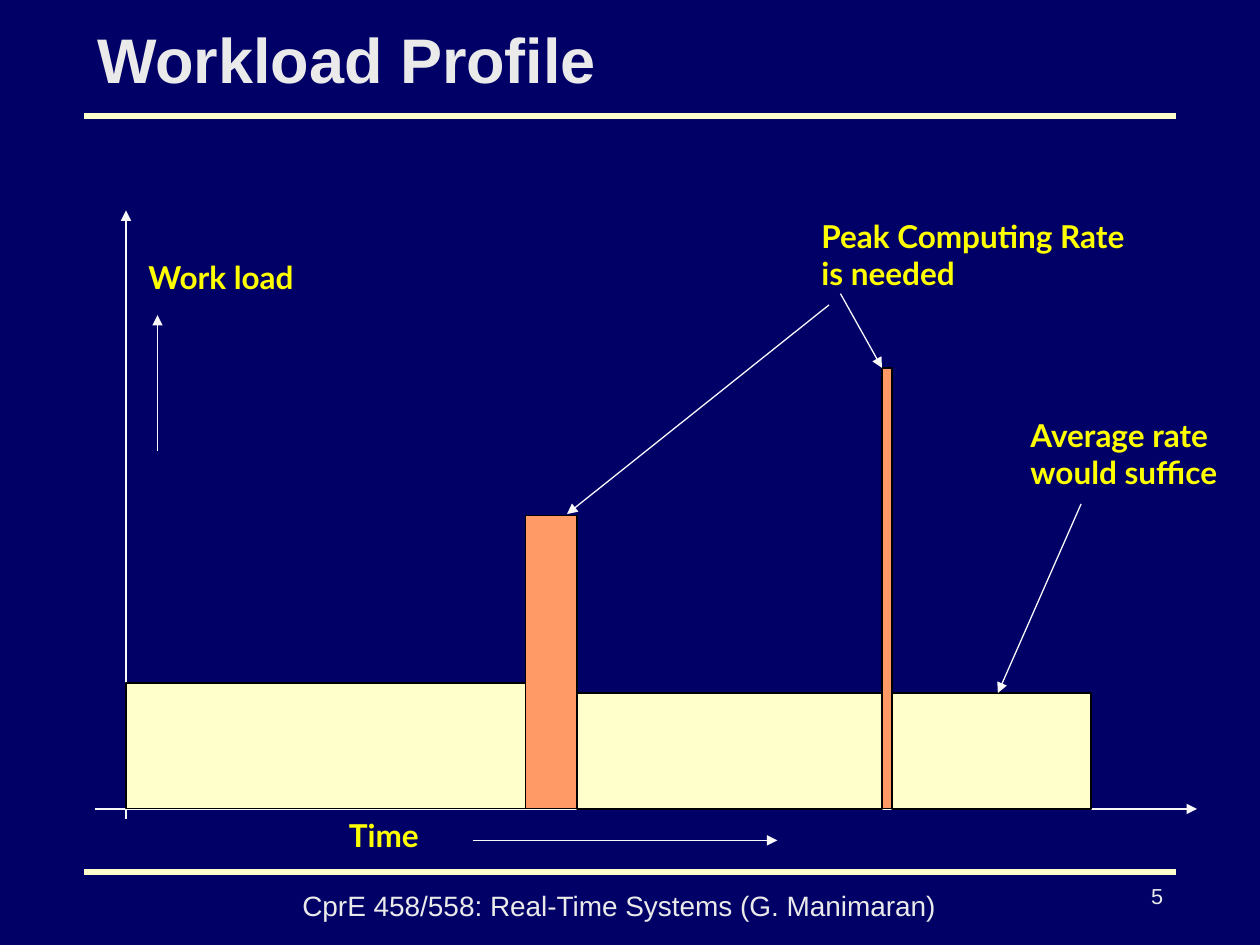
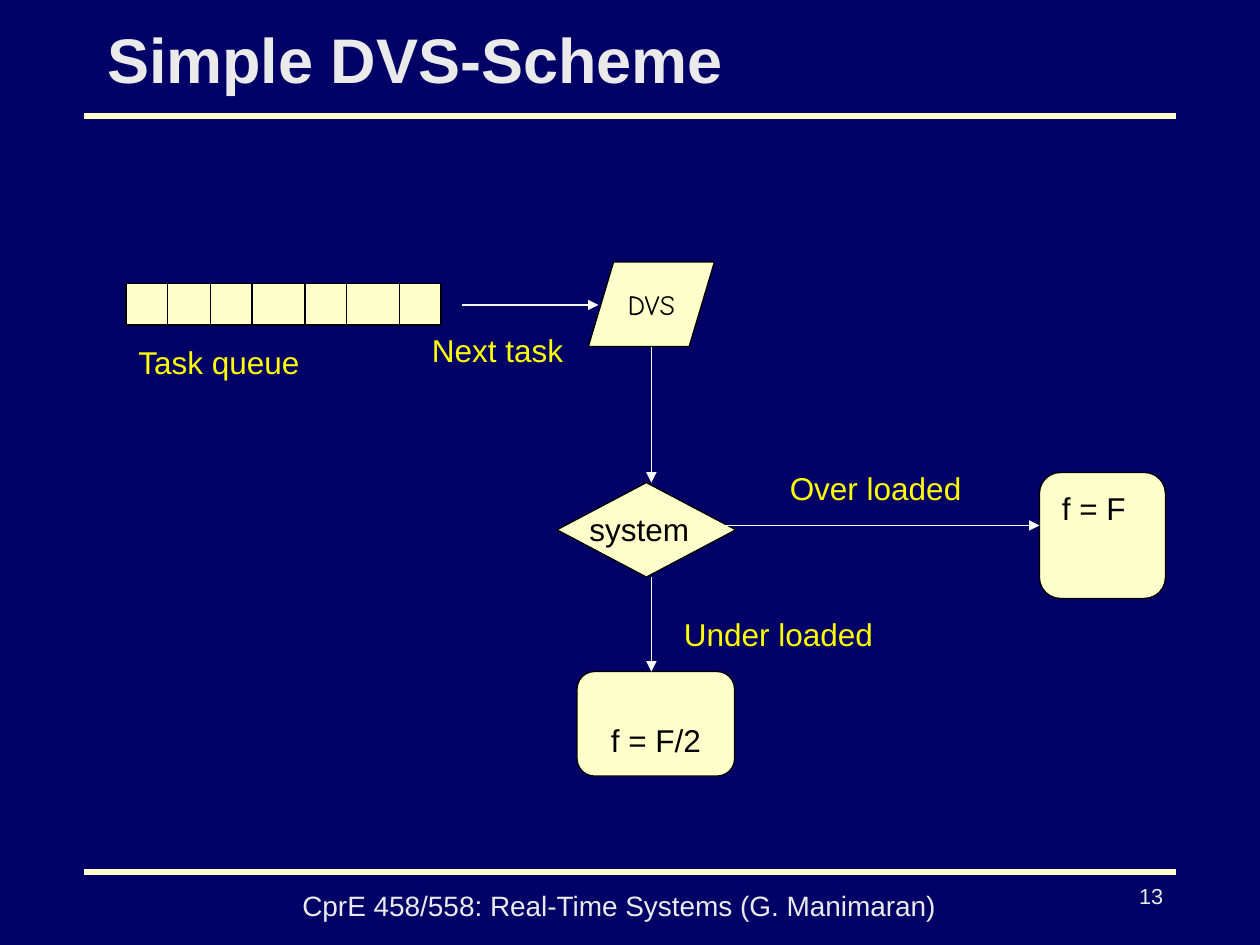
from itertools import accumulate, pairwise

from lxml import etree
from pptx import Presentation
from pptx.dml.color import RGBColor
from pptx.enum.shapes import MSO_CONNECTOR, MSO_SHAPE
from pptx.enum.text import MSO_ANCHOR, PP_ALIGN
from pptx.oxml.ns import qn
from pptx.util import Inches, Pt

STRAIGHT = MSO_CONNECTOR.STRAIGHT
RECT = MSO_SHAPE.RECTANGLE
ROUND_RECT = MSO_SHAPE.ROUNDED_RECTANGLE
DATA = MSO_SHAPE.FLOWCHART_DATA
DECISION = MSO_SHAPE.FLOWCHART_DECISION
PROCESS = MSO_SHAPE.FLOWCHART_ALTERNATE_PROCESS
LEFT, CENTER, RIGHT = PP_ALIGN.LEFT, PP_ALIGN.CENTER, PP_ALIGN.RIGHT
TOP, MIDDLE = MSO_ANCHOR.TOP, MSO_ANCHOR.MIDDLE

NAVY, CREAM, ORANGE = "000066", "FFFFCC", "FF9966"
WHITE, GREY, YELLOW, BLACK = "F8F8F8", "EAEAEA", "FFFF00", "000000"

FOOTER = "CprE 458/558: Real-Time Systems (G. Manimaran)"
RULE_TOPS = (0.92, 6.92)

BASELINE = 6.42
BAR_EDGES = (1, 4.17, 4.58, 7, 7.08, 8.66)
BAR_HEIGHTS = (1, 2.33, 0.92, 3.5, 0.92)
BAR_COLORS = (CREAM, ORANGE, CREAM, ORANGE, CREAM)
AXES = [(1, 6.5, 1, 1.67), (0.75, BASELINE, 9.5, BASELINE)]
PROFILE_ARROWS = [
    (3.75, 6.67, 6.17, 6.67),
    (1.25, 3.58, 1.25, 2.5),
    (6.58, 2.42, 4.5, 4.08),
    (6.67, 2.33, 7, 2.92),
    (8.58, 4, 7.92, 5.5),
]
PROFILE_LABELS = [
    ("Time", (2.67, 6.43, 1.67, 0.4)),
    ("Work load", (1.08, 2, 2, 0.4)),
    ("Peak Computing Rate is needed", (6.42, 1.67, 2.67, 0.7)),
    ("Average rate would suffice", (8.08, 3.25, 1.92, 0.7)),
]

QUEUE = (1, 2.25, 2.5, 0.33)
SLOT_WIDTHS = (0.33, 0.34, 0.33, 0.42, 0.33, 0.42)
DVS_BOX = (4.67, 2.08, 1, 0.67)
SCHEME_NODES = [
    (DECISION, (4.42, 3.83, 1.42, 0.75)),
    (PROCESS, (4.58, 5.33, 1.25, 0.83)),
    (ROUND_RECT, (8.25, 3.75, 1, 1)),
]
SCHEME_ARROWS = [
    (3.67, 2.42, 4.75, 2.42),
    (5.17, 2.75, 5.17, 3.83),
    (5.17, 4.58, 5.17, 5.33),
    (5.75, 4.17, 8.25, 4.17),
]
SCHEME_LABELS = [
    ("Task queue", (1, 2.67, 1.67, 0.4), YELLOW),
    ("Next task", (3.33, 2.58, 1.25, 0.4), YELLOW),
    ("Over loaded", (6.17, 3.67, 1.83, 0.4), YELLOW),
    ("Under loaded", (5.33, 4.83, 2.25, 0.4), YELLOW),
    ("system", (4.58, 4, 1.25, 0.4), BLACK),
    ("f = F/2", (4.75, 5.67, 1.08, 0.4), BLACK),
    ("f = F", (8.33, 3.83, 0.83, 0.4), BLACK),
]


def rgb(color):
    return RGBColor.from_string(color)


def inches(values):
    return [Inches(v) for v in values]


def write(sp, text, size, color, font="Arial", bold=False, align=LEFT, anchor=TOP, wrap=True):
    tf = sp.text_frame
    tf.word_wrap = wrap
    tf.vertical_anchor = anchor
    tf.text = text
    p = tf.paragraphs[0]
    p.alignment = align
    p.font.name, p.font.size, p.font.bold = font, Pt(size), bold
    p.font.color.rgb = rgb(color)
    return p


def add_label(s, text, box, color=YELLOW, size=18, **style):
    return write(s.shapes.add_textbox(*inches(box)), text, size, color, **style)


def add_box(s, kind, box, fill=CREAM):
    sp = s.shapes.add_shape(kind, *inches(box))
    sp.shadow.inherit = False
    sp.fill.solid()
    sp.fill.fore_color.rgb = rgb(fill)
    sp.line.color.rgb = rgb(BLACK)
    sp.line.width = Pt(0.75)
    return sp


def add_line(s, ends, color=WHITE, width=0.75, arrow=False):
    cxn = s.shapes.add_connector(STRAIGHT, *inches(ends))
    cxn.line.color.rgb = rgb(color)
    cxn.line.width = Pt(width)
    sp_pr = cxn._element.spPr
    if arrow:
        etree.SubElement(sp_pr.find(qn("a:ln")), qn("a:tailEnd"), type="triangle")
    etree.SubElement(sp_pr, qn("a:effectLst"))


def add_arrows(s, arrows):
    for ends in arrows:
        add_line(s, ends, arrow=True)


def add_slide(prs, title, number, title_box):
    s = prs.slides.add_slide(prs.slide_layouts[5])
    for y in RULE_TOPS:
        add_line(s, (0.67, y, 9.33, y), CREAM, 3)
    add_label(s, FOOTER, (1.58, 7, 6.67, 0.33), GREY, 16, align=CENTER)
    p = add_label(s, number, (8.25, 7, 1.08, 0.33), GREY, 12.4, align=RIGHT)
    p.line_spacing = 0.8
    sp = s.shapes.title
    sp.left, sp.top, sp.width, sp.height = inches(title_box)
    write(sp, title, 36, GREY, bold=True, anchor=MIDDLE)
    return s


def build_profile(prs):
    s = add_slide(prs, "Workload Profile", "5", (0.67, 0.17, 8.67, 0.58))
    add_arrows(s, AXES)
    for (x, right), h, color in zip(pairwise(BAR_EDGES), BAR_HEIGHTS, BAR_COLORS):
        add_box(s, RECT, (x, BASELINE - h, right - x, h), color)
    add_arrows(s, PROFILE_ARROWS)
    for text, box in PROFILE_LABELS:
        add_label(s, text, box, font="Lato", bold=True)


def build_scheme(prs):
    s = add_slide(prs, "Simple DVS-Scheme", "13", (0.75, 0.17, 8.35, 0.58))
    dvs = add_box(s, DATA, DVS_BOX)
    write(dvs, "DVS", 16, BLACK, font="Comic Neue", align=CENTER, anchor=MIDDLE, wrap=False)
    for kind, box in SCHEME_NODES:
        add_box(s, kind, box)
    add_box(s, RECT, QUEUE)
    left, top, _, height = QUEUE
    for offset in accumulate(SLOT_WIDTHS):
        x = left + offset
        add_line(s, (x, top, x, top + height), BLACK)
    add_arrows(s, SCHEME_ARROWS)
    for text, box, color in SCHEME_LABELS:
        add_label(s, text, box, color)


def main():
    prs = Presentation()
    prs.slide_width, prs.slide_height = Inches(10), Inches(7.5)
    fill = prs.slide_master.background.fill
    fill.solid()
    fill.fore_color.rgb = rgb(NAVY)
    build_profile(prs)
    build_scheme(prs)
    prs.save("out.pptx")


if __name__ == "__main__":
    main()
